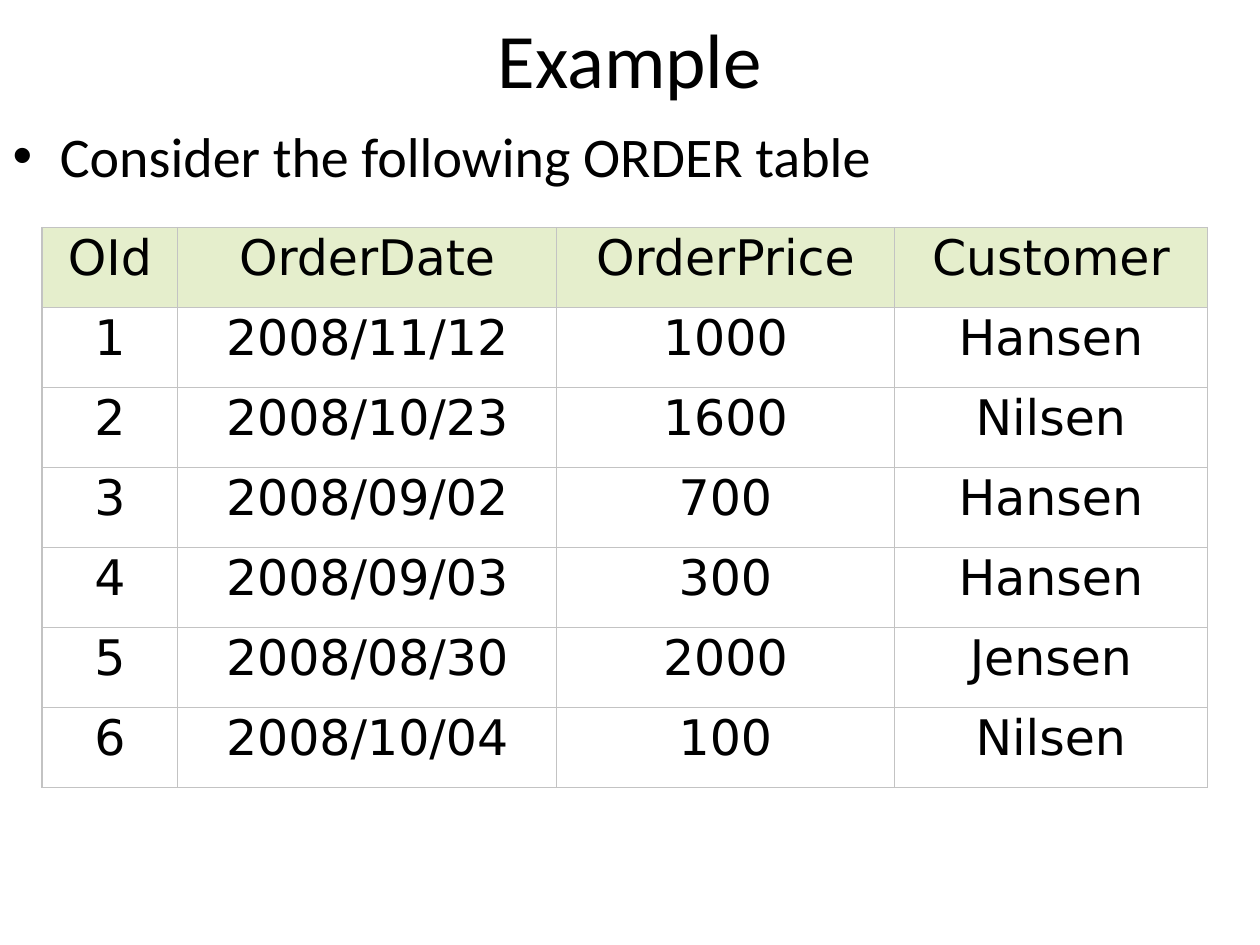
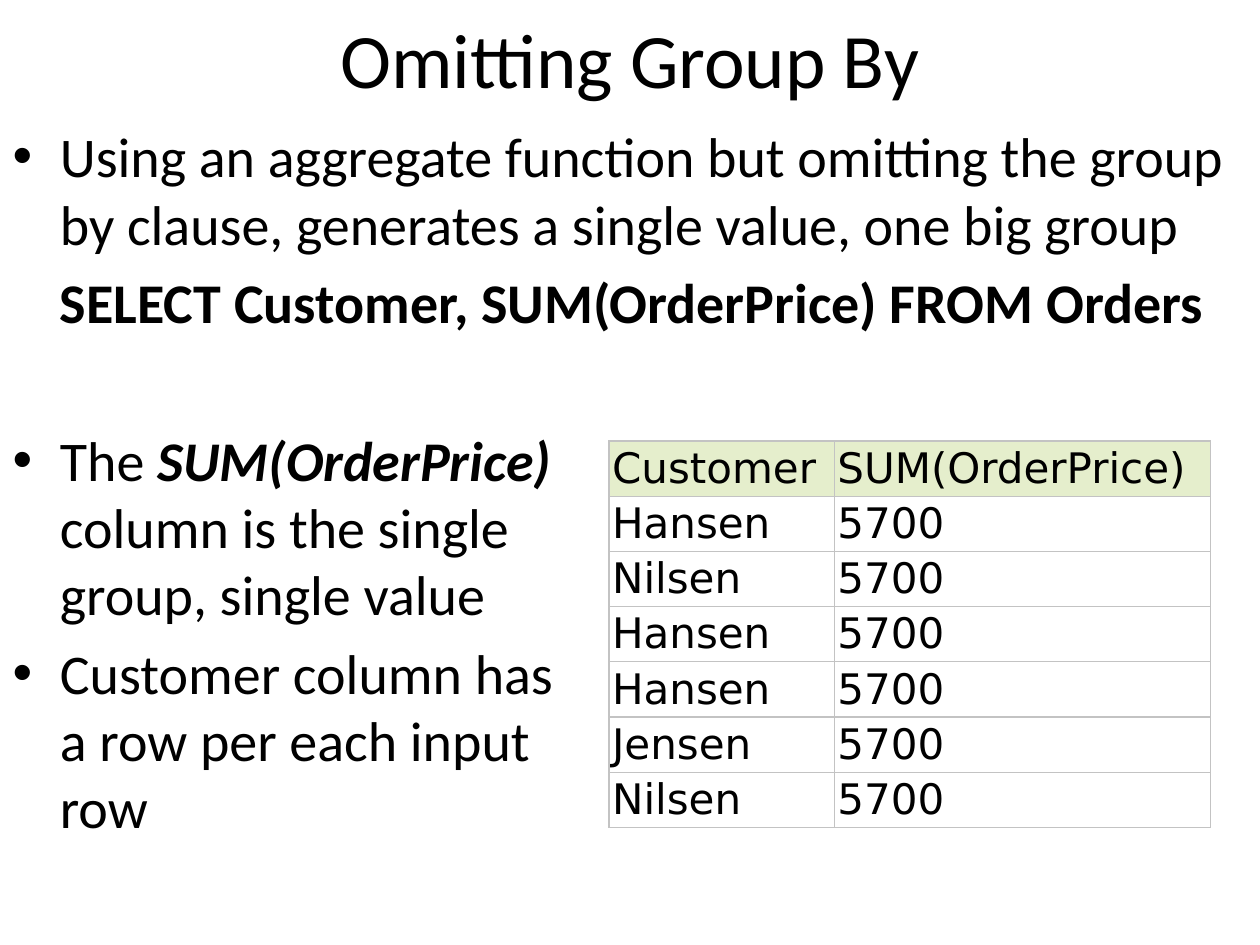
from lxml import etree
from pptx import Presentation
from pptx.dml.color import RGBColor
from pptx.enum.text import MSO_ANCHOR, MSO_AUTO_SIZE, PP_ALIGN
from pptx.oxml.ns import qn
from pptx.util import Pt

LEFT, CENTER = PP_ALIGN.LEFT, PP_ALIGN.CENTER
MIDDLE, TOP = MSO_ANCHOR.MIDDLE, MSO_ANCHOR.TOP
NO_FIT = MSO_AUTO_SIZE.NONE

# Shared look
PAGE_WIDTH, PAGE_HEIGHT = 720, 540
TITLE_HEIGHT = 66
TEXT_FONT, TABLE_FONT = "Calibri", "DejaVu Sans"
BLACK, WHITE, HEADER_GREEN, GRID_GRAY = "000000", "FFFFFF", "E5EECC", "C3C3C3"
GRID_WIDTH = 0.75
BODY_SIZE, BODY_INDENT, BODY_GAP = 32, 27, 6.4
CELL_MARGIN = 1.8

# Content
ORDERS = [
    ("1", "2008/11/12", "1000", "Hansen"),
    ("2", "2008/10/23", "1600", "Nilsen"),
    ("3", "2008/09/02", "700", "Hansen"),
    ("4", "2008/09/03", "300", "Hansen"),
    ("5", "2008/08/30", "2000", "Jensen"),
    ("6", "2008/10/04", "100", "Nilsen"),
]
ORDER_TOTAL = str(sum(int(price) for _, _, price, _ in ORDERS))

PAGES = [
    {
        "title": "Example",
        "body": [{"spans": [("Consider the following ORDER table", {})]}],
        "table": {
            "rows": [("OId", "OrderDate", "OrderPrice", "Customer"), *ORDERS],
            "left": 24, "top": 130, "widths": (77.5, 216.5, 193, 179),
            "row_height": 45.7, "size": 28, "align": CENTER,
        },
    },
    {
        "title": "Omitting Group By",
        "body": [
            {"spans": [("Using an aggregate function but omitting the group "
                        "by clause, generates a single value, one big group", {})]},
            {"spans": [("SELECT Customer, SUM(OrderPrice) FROM Orders", {"bold": True})],
             "bullet": False},
            {"spans": [("The ", {}),
                       ("SUM(OrderPrice)\n", {"bold": True, "italic": True}),
                       ("column is the single\ngroup, single value", {})],
             "gap": 51.8},
            {"spans": [("Customer column has\na row per each input\nrow", {})]},
        ],
        "table": {
            "rows": [("Customer", "SUM(OrderPrice)"),
                     *((order[-1], ORDER_TOTAL) for order in ORDERS)],
            "left": 348, "top": 252, "widths": (128.75, 214.75),
            "row_height": 31.55, "size": 24, "align": LEFT,
        },
    },
]


def color(hex_text):
    return RGBColor.from_string(hex_text)


def add_text(para, text, font=TEXT_FONT, size=BODY_SIZE, bold=False, italic=False, ink=BLACK):
    """Add formatted text to a paragraph; each newline becomes a line break."""
    for number, line in enumerate(text.split("\n")):
        if number:
            para.add_line_break()
        if line:
            span = para.add_run()
            span.text = line
            span.font.name, span.font.size = font, Pt(size)
            span.font.bold, span.font.italic = bold, italic
            span.font.color.rgb = color(ink)


def place(box, top, height, anchor):
    box.left, box.top, box.width, box.height = Pt(0), Pt(top), Pt(PAGE_WIDTH), Pt(height)
    frame = box.text_frame
    frame.word_wrap, frame.auto_size, frame.vertical_anchor = True, NO_FIT, anchor
    return frame


def set_bullet(para, bullet):
    properties = para._p.get_or_add_pPr()
    properties.set("marL", str(Pt(BODY_INDENT)))
    properties.set("indent", str(Pt(-BODY_INDENT if bullet else 0)))
    if bullet:
        etree.SubElement(properties, qn("a:buFont"), typeface="Arial")
        etree.SubElement(properties, qn("a:buChar"), char="•")
    else:
        etree.SubElement(properties, qn("a:buNone"))


def fill_body(frame, items):
    for number, item in enumerate(items):
        para = frame.add_paragraph() if number else frame.paragraphs[0]
        set_bullet(para, item.get("bullet", True))
        para.space_before = Pt(item.get("gap", BODY_GAP) if number else 0)
        for text, style in item["spans"]:
            add_text(para, text, **style)


def set_borders(cell):
    properties = cell._tc.get_or_add_tcPr()
    for side in ("a:lnL", "a:lnR", "a:lnT", "a:lnB"):
        line = etree.SubElement(properties, qn(side), w=str(Pt(GRID_WIDTH)))
        fill = etree.SubElement(line, qn("a:solidFill"))
        etree.SubElement(fill, qn("a:srgbClr"), val=GRID_GRAY)


def add_grid(page, rows, left, top, widths, row_height, size, align):
    table = page.shapes.add_table(
        len(rows), len(widths), Pt(left), Pt(top),
        Pt(sum(widths)), Pt(row_height * len(rows))).table
    table.first_row = table.horz_banding = False
    for column, width in zip(table.columns, widths):
        column.width = Pt(width)
    for row_number, values in enumerate(rows):
        table.rows[row_number].height = Pt(row_height)
        for column_number, value in enumerate(values):
            cell = table.cell(row_number, column_number)
            cell.margin_left = cell.margin_right = Pt(CELL_MARGIN)
            cell.margin_top = cell.margin_bottom = Pt(CELL_MARGIN)
            set_borders(cell)
            cell.fill.solid()
            cell.fill.fore_color.rgb = color(WHITE if row_number else HEADER_GREEN)
            para = cell.text_frame.paragraphs[0]
            para.alignment = align
            add_text(para, value, font=TABLE_FONT, size=size)


def main():
    deck = Presentation()
    deck.slide_width, deck.slide_height = Pt(PAGE_WIDTH), Pt(PAGE_HEIGHT)
    for content in PAGES:
        page = deck.slides.add_slide(deck.slide_layouts[1])
        # Title
        title = place(page.shapes.title, 0, TITLE_HEIGHT, MIDDLE).paragraphs[0]
        title.alignment = CENTER
        add_text(title, content["title"], size=44)
        # Bullets
        body = place(page.placeholders[1], TITLE_HEIGHT, PAGE_HEIGHT - TITLE_HEIGHT, TOP)
        fill_body(body, content["body"])
        # Table
        add_grid(page, **content["table"])
    deck.save("out.pptx")


if __name__ == "__main__":
    main()
